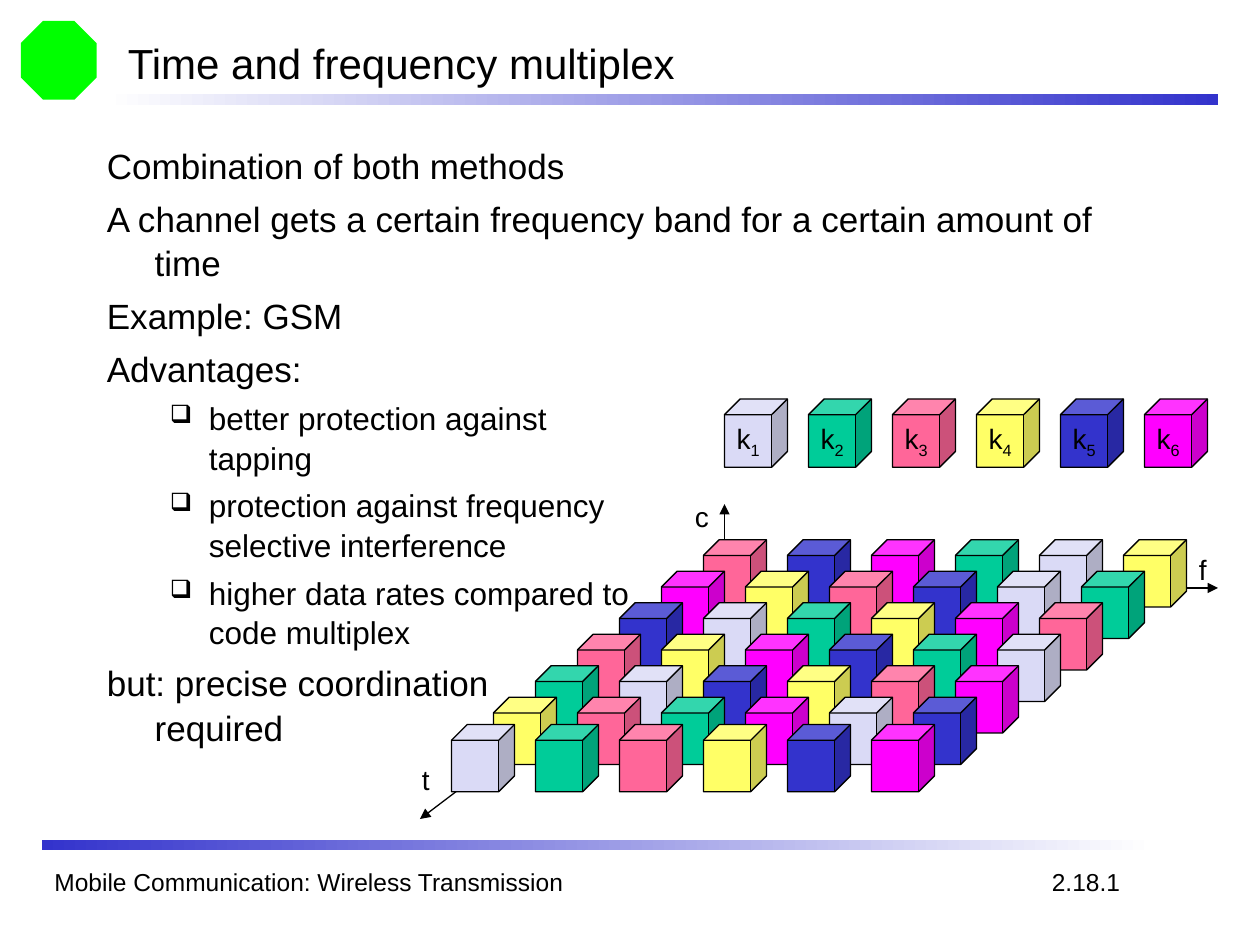
import pptx
import pptx.util
import pptx.dml.color
import pptx.enum.shapes
import pptx.enum.text
import pptx.oxml
import pptx.oxml.ns
import lxml.etree as et

INK = {"black": "000000", "white": "FFFFFF", "blue": "3333CC", "green": "00FF00"}
# Fill of each channel k1 to k6
CHAN = {"1": "DADAF6", "2": "00CC99", "3": "FF6699",
        "4": "FFFF66", "5": "3333CC", "6": "FF00FF"}
# Channel of each cube: one row per time slot, back to front
SLOTS = ["356214", "643512", "512463", "346521", "215436", "432615", "123456"]
BODY = [
    (0, "Combination of both methods"),
    (0, "A channel gets a certain frequency band for a certain amount of time"),
    (0, "Example: GSM"),
    (0, "Advantages:"),
    (1, "better protection against \vtapping"),
    (1, "protection against frequency \vselective interference"),
    (1, "higher data rates compared to\vcode multiplex"),
    (0, "but: precise coordination\vrequired"),
]
KIND = pptx.enum.shapes.MSO_SHAPE
ANCHOR = pptx.enum.text.MSO_ANCHOR
Pt = pptx.util.Pt


def rgb(hue):
    return pptx.dml.color.RGBColor.from_string(hue)


def sub(node, tag, **attrs):
    return et.SubElement(node, pptx.oxml.ns.qn(tag), attrs)


class Deck:
    """Style and current slide; lengths are in a grid of 120 columns by 90 rows."""
    face = "Arial"
    unit = 1 / 12

    def __init__(self):
        self.prs = pptx.Presentation()
        self.prs.slide_width = self.size(120)
        self.prs.slide_height = self.size(90)
        self.slide = self.prs.slides.add_slide(self.prs.slide_layouts[6])
        self.shapes = self.slide.shapes

    def size(self, cells):
        return pptx.util.Inches(cells * self.unit)

    def place(self, *cells):
        return [self.size(c) for c in cells]

    def style(self, para, pts):
        for run in para.runs:
            run.font.name = self.face
            run.font.size = Pt(pts)
            run.font.color.rgb = rgb(INK["black"])

    def shape(self, kind, x, y, w, h):
        item = self.shapes.add_shape(kind, *self.place(x, y, w, h))
        item.shadow.inherit = False
        item.line.fill.background()
        return item

    def badge(self, x, y, w, h):
        item = self.shape(KIND.OCTAGON, x, y, w, h)
        item.fill.solid()
        item.fill.fore_color.rgb = rgb(INK["green"])

    def bar(self, x, y, *hues):
        item = self.shape(KIND.RECTANGLE, x, y, 106, 1)
        item.fill.gradient()
        item.fill.gradient_angle = 0
        for stop, hue in zip(item.fill.gradient_stops, hues):
            stop.color.rgb = rgb(INK[hue])

    def cube(self, x, y, h, chan):
        item = self.shape(KIND.CUBE, x, y, 6, h)
        item.adjustments[0] = 0.25
        item.fill.solid()
        item.fill.fore_color.rgb = rgb(CHAN[chan])
        item.line.color.rgb = rgb(INK["black"])
        item.line.width = Pt(0.75)
        return item

    def key(self, x, y, chan):
        frame = self.cube(x, y, 6.5, chan).text_frame
        frame.word_wrap = False
        frame.vertical_anchor = ANCHOR.MIDDLE
        para = frame.paragraphs[0]
        para.alignment = pptx.enum.text.PP_ALIGN.CENTER
        for text in ("k", chan):
            para.add_run().text = text
        self.style(para, 16)
        para.runs[1].font._element.set("baseline", "-25000")

    def arrow(self, start, end):
        line = self.shapes.add_connector(
            pptx.enum.shapes.MSO_CONNECTOR.STRAIGHT, *self.place(*start, *end))
        line.line.color.rgb = rgb(INK["black"])
        line.line.width = Pt(0.75)
        sub(line.line._get_or_add_ln(), "a:tailEnd", type="triangle")
        sub(line._element.spPr, "a:effectLst")

    def text(self, x, y, w, h, text, pts, wrap=False, anchor=ANCHOR.TOP):
        frame = self.shapes.add_textbox(*self.place(x, y, w, h)).text_frame
        frame.word_wrap = wrap
        frame.vertical_anchor = anchor
        frame.text = text
        self.style(frame.paragraphs[0], pts)

    def body(self, x, y, w, h, items):
        frame = self.shapes.add_textbox(*self.place(x, y, w, h)).text_frame
        frame.word_wrap = True
        for n, (level, text) in enumerate(items):
            para = frame.add_paragraph() if n else frame.paragraphs[0]
            para.text = text
            para.level = level
            para.line_spacing = 1.05
            if n:
                para.space_before = Pt(4.5 if level else 5)
            left, hang = (0.81, 0.31) if level else (0.38, 0.38)
            props = para._p.get_or_add_pPr()
            props.set("marL", str(pptx.util.Inches(left)))
            props.set("indent", str(-pptx.util.Inches(hang)))
            if level:
                sub(sub(props, "a:buClr"), "a:srgbClr", val=INK["black"])
                sub(props, "a:buSzPct", val="80000")
                sub(props, "a:buChar", char="❑")
            else:
                sub(props, "a:buNone")
            self.style(para, 18 if level else 20)


def main():
    deck = Deck()

    # Frame: badge, bars and footer
    deck.badge(2, 2, 7.2, 7.5)
    deck.bar(10, 9, "white", "blue")
    deck.bar(4, 80, "blue", "white")
    deck.text(4, 82, 59, 4, "Mobile Communication: Wireless Transmission", 14, wrap=True)
    deck.text(99, 82, 8.9, 4, "2.18.1", 14)

    # Axes from a shared origin
    for tip in ((116, 56), (40, 78), (69, 48)):
        deck.arrow((69, 56), tip)

    # Title and body
    deck.text(11, 3, 102, 6, "Time and frequency multiplex", 24,
              wrap=True, anchor=ANCHOR.MIDDLE)
    deck.body(9, 13, 102, 67, BODY)

    # Cubes, each slot nearer and further left; the front one sits a little higher
    for row, slot in enumerate(SLOTS):
        top = min(51.4 + 3 * row, 69)
        for col, chan in enumerate(slot):
            deck.cube(67 - 4 * row + 8 * col, top, 6.4, chan)

    # Axis names
    for x, y, w, name in ((113, 52, 3.1, "f"), (39, 72, 3.1, "t"), (65, 47, 3.7, "c")):
        deck.text(x, y, w, 4.4, name, 16)

    # Channel key
    for col, chan in enumerate(CHAN):
        deck.key(69 + 8 * col, 38, chan)

    deck.prs.save("out.pptx")


if __name__ == "__main__":
    main()
